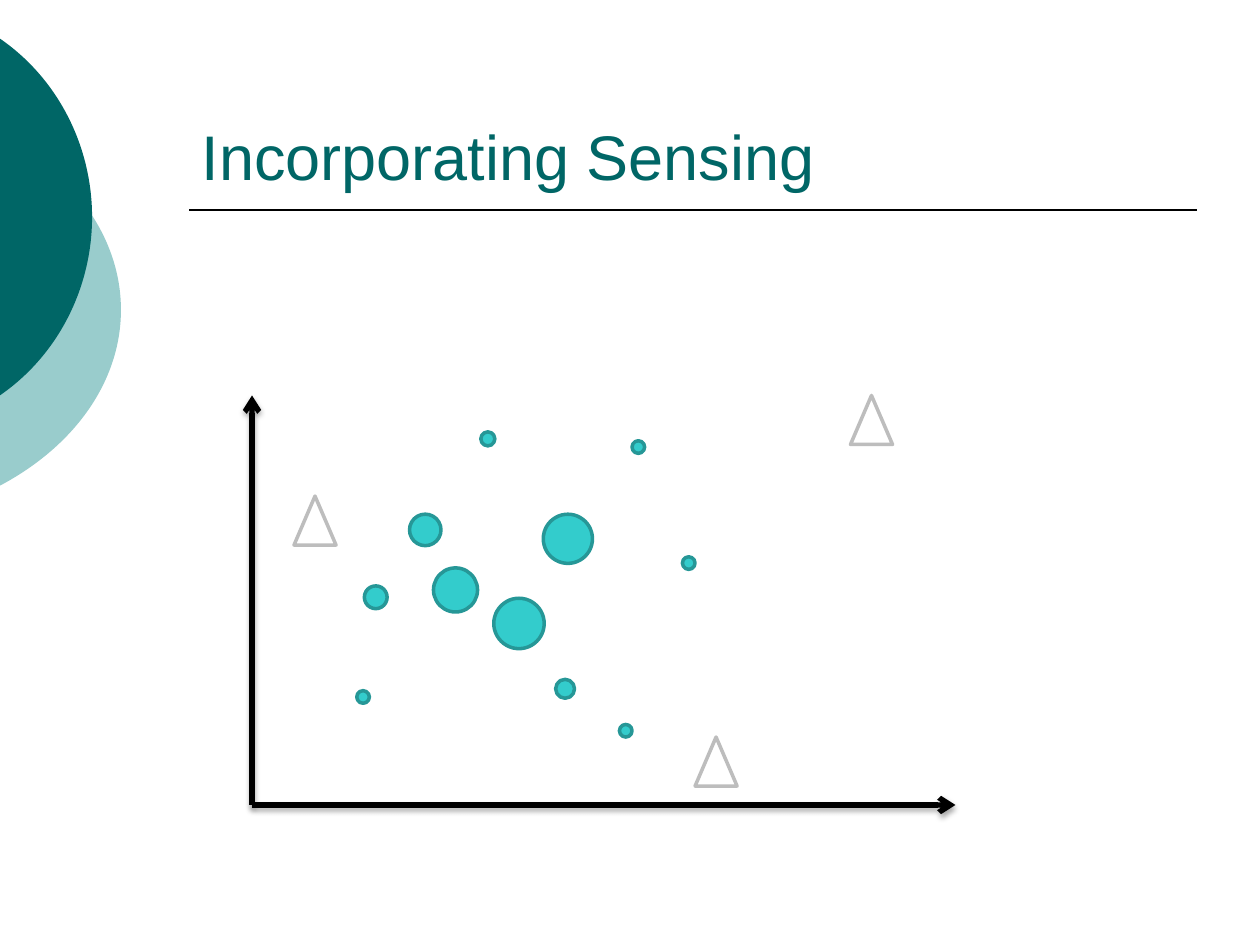
"""Build the "Incorporating Sensing" slide: a sensing plot beside two cut-off discs."""
from lxml import etree
from pptx import Presentation
from pptx import util as u
from pptx.dml.color import RGBColor
from pptx.enum import shapes, text
from pptx.oxml.ns import qn

COLORS = {
    "teal": "006666", "pale": "99CCCC", "black": "000000", "white": "FFFFFF",
    "particle": "33CCCC", "particle_edge": "269797", "landmark_edge": "BDBDBD",
}
HEADING = "Incorporating Sensing"
# Frame, then the upper half of each edge: start, two control points, rightmost point.
DISCS = [
    ("pale", (-254.9, 54, 324, 246.2), [(-0.7, 76.3), (43.2, 99.4), (69.1, 136.8), (69.1, 177.1)]),
    ("teal", (-190.8, 0, 243.4, 248.4), [(-0.7, 21.6), (33.1, 44.6), (52.6, 83.5), (52.6, 124)]),
]
ORIGIN = (144, 460)
AXIS_ENDS = [(144, 226), (546, 460)]
# Centre x, centre y, diameter.
PARTICLES = [
    (243, 302.8, 18), (260.3, 337.1, 25.2), (278.8, 250.8, 8), (214.7, 341.3, 13),
    (296.6, 356.3, 28.8), (393.6, 321.8, 7.2), (207.5, 398.3, 7.2),
    (324.5, 307.9, 28.1), (364.8, 255.5, 7.2), (322.9, 393.6, 10.8), (357.6, 417.6, 7.2),
]
LANDMARK_SIZE = (24, 28)
LANDMARKS = [(486, 226), (168, 283.5), (397.2, 421.2)]


def rgb(name):
    return RGBColor.from_string(COLORS[name])


def write(frame, words, font="Arial", size=36, color="teal",
          align=text.PP_ALIGN.LEFT, anchor=text.MSO_ANCHOR.BOTTOM):
    frame.word_wrap = True
    frame.auto_size = text.MSO_AUTO_SIZE.NONE
    frame.vertical_anchor = anchor
    frame.text = words
    line = frame.paragraphs[0]
    line.alignment = align
    line.font.name, line.font.size = font, u.Pt(size)
    line.font.color.rgb = rgb(color)


def place(item, left, top, width, height):
    item.left, item.top, item.width, item.height = map(u.Pt, (left, top, width, height))


def paint(item, fill, edge=None, width=2):
    item.shadow.inherit = False
    item.fill.solid()
    item.fill.fore_color.rgb = rgb(fill)
    if edge:
        item.line.color.rgb, item.line.width = rgb(edge), u.Pt(width)
    else:
        item.line.fill.background()


def add_disc(slide, fill, frame, upper):
    left, top, width, height = frame
    middle = upper[-1][1]
    lower = [(x, 2 * middle - y) for x, y in reversed(upper[:-1])]
    builder = slide.shapes.build_freeform(*upper[0], scale=u.Pt(1))
    builder.add_line_segments([upper[-1], lower[-1]], close=True)
    disc = builder.convert_to_shape()
    place(disc, *frame)
    paint(disc, fill)

    outline = next(disc._element.iter(qn("a:path")))
    outline.set("w", str(u.Pt(width)))
    outline.set("h", str(u.Pt(height)))
    for segment in list(outline):
        outline.remove(segment)
    for command, points in (("moveTo", upper[:1]), ("cubicBezTo", upper[1:]),
                            ("cubicBezTo", lower), ("close", [])):
        segment = etree.SubElement(outline, qn(f"a:{command}"))
        for x, y in points:
            etree.SubElement(segment, qn("a:pt"),
                             x=str(u.Pt(x - left)), y=str(u.Pt(y - top)))


def add_line(slide, start, end, width, axis=False):
    line = slide.shapes.add_connector(
        shapes.MSO_CONNECTOR.STRAIGHT, *map(u.Pt, start + end))
    line.line.color.rgb, line.line.width = rgb("black"), u.Pt(width)
    properties = line._element.spPr
    effects = etree.SubElement(properties, qn("a:effectLst"))
    if axis:
        etree.SubElement(properties.find(qn("a:ln")), qn("a:tailEnd"), type="arrow")
        shadow = etree.SubElement(
            effects, qn("a:outerShdw"), blurRad=str(u.Pt(3.1)), dist=str(u.Pt(1.8)),
            dir="5400000", rotWithShape="0")
        tint = etree.SubElement(shadow, qn("a:srgbClr"), val=COLORS["black"])
        etree.SubElement(tint, qn("a:alpha"), val="35000")


def add_mark(slide, kind, left, top, width, height, fill, edge):
    mark = slide.shapes.add_shape(kind, *map(u.Pt, (left, top, width, height)))
    paint(mark, fill, edge)


def main():
    deck = Presentation()
    deck.slide_width, deck.slide_height = u.Pt(720), u.Pt(540)
    slide = deck.slides.add_slide(deck.slide_layouts[5])
    for fill, frame, upper in DISCS:
        add_disc(slide, fill, frame, upper)
    add_line(slide, (108, 120), (684, 120), 1)

    heading = slide.shapes.title
    place(heading, 108, 24, 576, 90)
    write(heading.text_frame, HEADING)
    slide.shapes._spTree.append(heading._element)

    for end in AXIS_ENDS:
        add_line(slide, ORIGIN, end, 3, axis=True)
    for x, y, size in PARTICLES:
        add_mark(slide, shapes.MSO_SHAPE.OVAL, x - size / 2, y - size / 2, size, size,
                 "particle", "particle_edge")
    for left, top in LANDMARKS:
        add_mark(slide, shapes.MSO_SHAPE.ISOSCELES_TRIANGLE, left, top, *LANDMARK_SIZE,
                 "white", "landmark_edge")
    deck.save("out.pptx")


if __name__ == "__main__":
    main()
